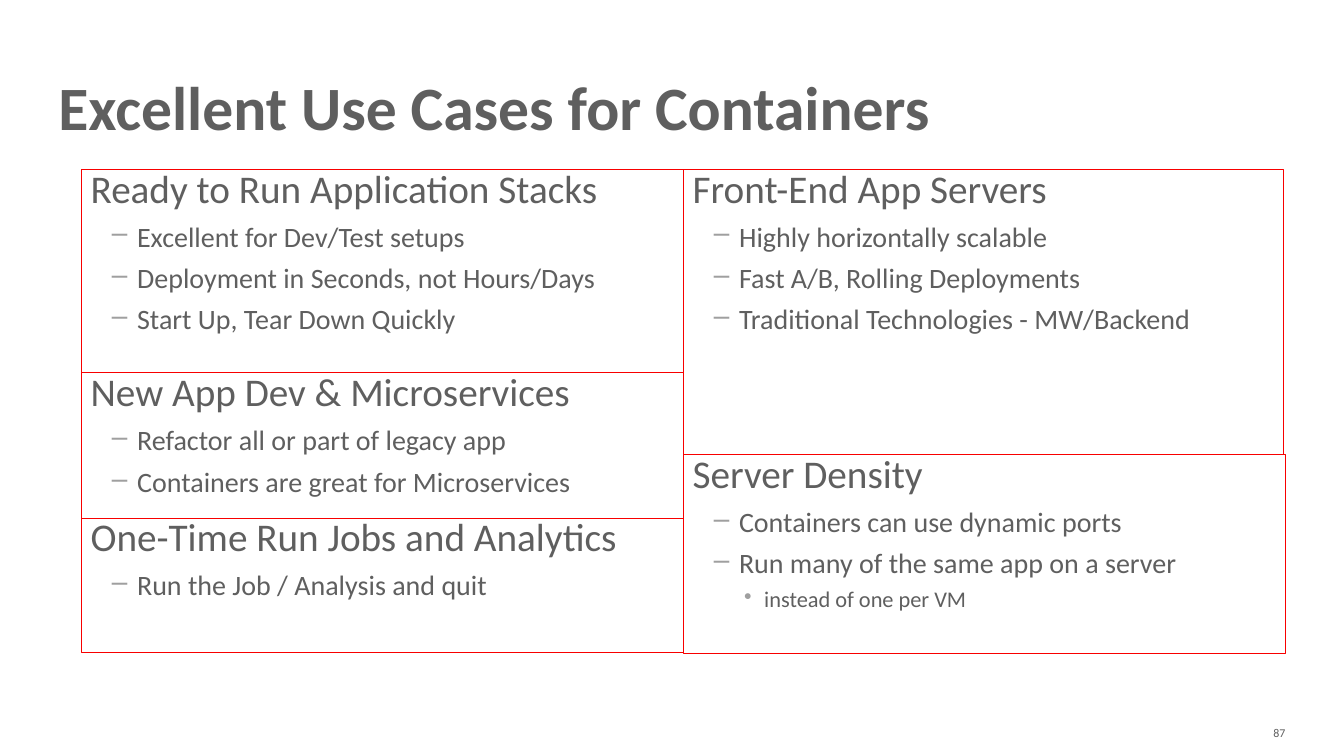
from dataclasses import dataclass
from typing import Any

from lxml.etree import SubElement
from pptx import Presentation
from pptx.dml.color import RGBColor
from pptx.enum.shapes import MSO_SHAPE
from pptx.enum.text import MSO_ANCHOR, MSO_AUTO_SIZE, PP_ALIGN
from pptx.oxml.ns import qn
from pptx.util import Inches, Pt


@dataclass(frozen=True)
class Theme:
    font: str = "Calibri"
    text: str = "5F5F5F"
    bullet: str = "9F9F9F"
    border: str = "F80000"
    border_width: float = 0.75
    title_size: float = 44
    number_size: float = 8.5


@dataclass(frozen=True)
class Level:
    size: float
    margin: float
    indent: float
    before: float
    bullet: str


@dataclass(frozen=True)
class Panel:
    left: float
    top: float
    width: float
    height: float
    heading: str
    points: tuple[str, ...]
    details: tuple[str, ...] = ()


THEME = Theme()
LEVELS = (
    Level(28, 0.09, 0, 0, ""),
    Level(20, 0.55, -0.25, 8, "–"),
    Level(16, 0.8, -0.2, 6, "•"),
)
LEFT, MIDDLE, WIDTH = 0.81, 6.78, 5.97
PANELS = (
    Panel(LEFT, 1.68, WIDTH, 2.02, "Ready to Run Application Stacks", (
        "Excellent for Dev/Test setups",
        "Deployment in Seconds, not Hours/Days",
        "Start Up, Tear Down Quickly",
    )),
    Panel(LEFT, 5.14, WIDTH, 1.33, "One-Time Run Jobs and Analytics", (
        "Run the Job / Analysis and quit",
    )),
    Panel(MIDDLE, 1.68, 5.95, 2.83, "Front-End App Servers", (
        "Highly horizontally scalable",
        "Fast A/B, Rolling Deployments",
        "Traditional Technologies - MW/Backend",
    )),
    Panel(LEFT, 3.7, WIDTH, 1.44, "New App Dev & Microservices", (
        "Refactor all or part of legacy app",
        "Containers are great for Microservices",
    )),
    Panel(MIDDLE, 4.51, WIDTH, 1.97, "Server Density", (
        "Containers can use dynamic ports",
        "Run many of the same app on a server",
    ), ("instead of one per VM",)),
)


def apply(target: Any, values: dict[str, Any]) -> None:
    for name, value in values.items():
        setattr(target, name, value)


def format_frame(tf: Any, anchor: Any, wrap: bool = True) -> None:
    apply(tf, {
        "margin_left": 0, "margin_top": 0, "margin_right": 0, "margin_bottom": 0,
        "auto_size": MSO_AUTO_SIZE.NONE, "word_wrap": wrap, "vertical_anchor": anchor,
    })


def write(p: Any, text: str, size: float, align: Any = PP_ALIGN.LEFT,
          spacing: float = 1.0, bold: bool = False) -> None:
    r = p.add_run()
    r.text = text
    apply(p, {"alignment": align, "line_spacing": spacing})
    apply(r.font, {"name": THEME.font, "size": Pt(size), "bold": bold})
    r.font.color.rgb = RGBColor.from_string(THEME.text)


def add_item(p: Any, text: str, depth: int) -> None:
    level = LEVELS[depth]
    p.level = depth
    pPr = p._p.get_or_add_pPr()
    pPr.set("marL", str(Inches(level.margin)))
    pPr.set("indent", str(Inches(level.indent)))
    if level.bullet:
        color = SubElement(pPr, qn("a:buClr"))
        SubElement(color, qn("a:srgbClr")).set("val", THEME.bullet)
        SubElement(pPr, qn("a:buChar")).set("char", level.bullet)
    p.space_before = Pt(level.before)
    write(p, text, level.size, spacing=0.9)


def add_panel(s: Any, panel: Panel) -> None:
    sp = s.shapes.add_shape(
        MSO_SHAPE.RECTANGLE, Inches(panel.left), Inches(panel.top),
        Inches(panel.width), Inches(panel.height))
    sp.shadow.inherit = False
    sp.fill.background()
    sp.line.color.rgb = RGBColor.from_string(THEME.border)
    sp.line.width = Pt(THEME.border_width)
    tf = sp.text_frame
    format_frame(tf, MSO_ANCHOR.TOP)
    add_item(tf.paragraphs[0], panel.heading, 0)
    for depth, items in enumerate((panel.points, panel.details), 1):
        for item in items:
            add_item(tf.add_paragraph(), item, depth)


def add_title(s: Any, text: str) -> None:
    sp = s.shapes.title
    apply(sp, {"left": Inches(0.58), "top": Inches(0.44),
               "width": Inches(12.17), "height": Inches(0.97)})
    format_frame(sp.text_frame, MSO_ANCHOR.BOTTOM)
    write(sp.text_frame.paragraphs[0], text, THEME.title_size, spacing=0.8, bold=True)


def add_number(s: Any, text: str) -> None:
    sp = s.shapes.add_textbox(Inches(12.33), Inches(7.17), Inches(0.42), Inches(0.2))
    format_frame(sp.text_frame, MSO_ANCHOR.MIDDLE, wrap=False)
    write(sp.text_frame.paragraphs[0], text, THEME.number_size, PP_ALIGN.RIGHT)


def main() -> None:
    prs = Presentation()
    apply(prs, {"slide_width": Inches(13.33), "slide_height": Inches(7.5)})
    s = prs.slides.add_slide(prs.slide_layouts[5])
    add_title(s, "Excellent Use Cases for Containers")
    for panel in PANELS:
        add_panel(s, panel)
    add_number(s, "87")
    prs.save("out.pptx")


if __name__ == "__main__":
    main()
